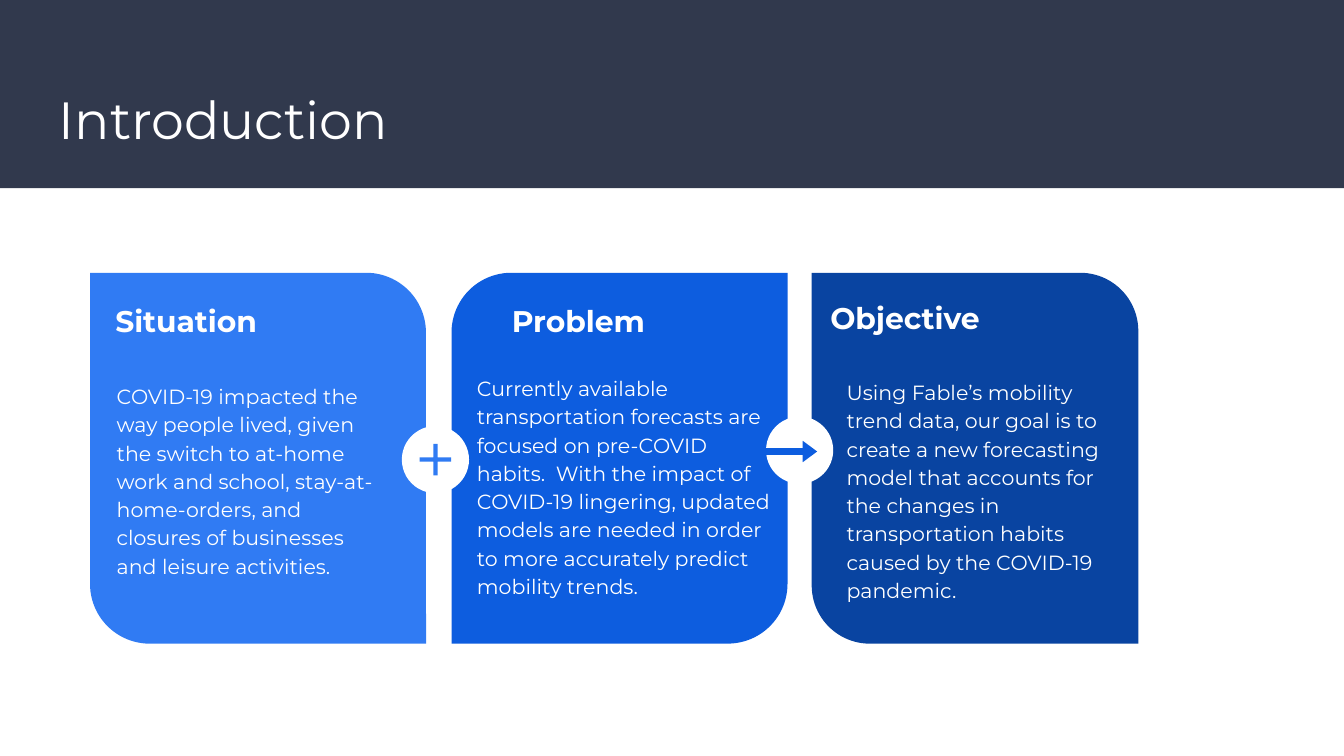
from dataclasses import dataclass

from pptx import Presentation
from pptx.dml.color import RGBColor
from pptx.enum.shapes import MSO_SHAPE
from pptx.enum.text import MSO_ANCHOR
from pptx.util import Inches, Pt

RECTANGLE = MSO_SHAPE.RECTANGLE
DIAGONAL_CARD = MSO_SHAPE.ROUND_2_DIAG_RECTANGLE
CIRCLE = MSO_SHAPE.OVAL
PLUS = MSO_SHAPE.MATH_PLUS
ARROW = MSO_SHAPE.RIGHT_ARROW
TOP = MSO_ANCHOR.TOP


@dataclass(frozen=True)
class Theme:
    font: str = "Montserrat"
    white: str = "FFFFFF"
    navy: str = "31394D"
    light_blue: str = "307BF3"
    blue: str = "0D5DDF"
    dark_blue: str = "0944A1"
    title_size: int = 28
    heading_size: int = 16
    body_size: int = 11


THEME = Theme()
CORNER = 0.178
CARD_TOP, CARD_HEIGHT = 2.03, 2.76
BADGE_SIZE = 0.5


def add_filled(slide, kind, box, color, adjustments=()):
    shape = slide.shapes.add_shape(kind, *map(Inches, box))
    shape.shadow.inherit = False
    shape.fill.solid()
    shape.fill.fore_color.rgb = RGBColor.from_string(color)
    shape.line.fill.background()
    for index, value in enumerate(adjustments):
        shape.adjustments[index] = value


def add_text(slide, box, text, size, bold=False, line_spacing=None, space_after=None):
    frame = slide.shapes.add_textbox(*map(Inches, box)).text_frame
    frame.word_wrap = True
    frame.vertical_anchor = TOP
    frame.margin_left = frame.margin_right = Inches(0.1)
    frame.margin_top = frame.margin_bottom = Inches(0.1)
    paragraph = frame.paragraphs[0]
    paragraph.text = text
    paragraph.line_spacing = line_spacing
    paragraph.space_after = space_after
    paragraph.font.name = THEME.font
    paragraph.font.size = Pt(size)
    paragraph.font.bold = bold
    paragraph.font.color.rgb = RGBColor.from_string(THEME.white)


def add_header(slide, box, title):
    left, top, width, height = box
    add_filled(slide, RECTANGLE, box, THEME.navy)
    add_text(slide, (left + 0.34, top + 0.55, width - 0.68, 0.68), title, THEME.title_size)


def add_card(slide, box, color, corners, heading, heading_box, body, body_box):
    left, top, _, _ = box
    add_filled(slide, DIAGONAL_CARD, box, color, corners)
    dx, dy, width = heading_box
    add_text(slide, (left + dx, top + dy, width, 0.81), heading, THEME.heading_size, bold=True)
    dx, dy, width = body_box
    add_text(slide, (left + dx, top + dy, width, 0.9), body, THEME.body_size,
             line_spacing=1.15, space_after=Pt(16))


def add_badge(slide, box, symbol, symbol_box, color, adjustments):
    left, top, _, _ = box
    dx, dy, width, height = symbol_box
    add_filled(slide, CIRCLE, box, THEME.white)
    add_filled(slide, symbol, (left + dx, top + dy, width, height), color, adjustments)


def main():
    deck = Presentation()
    deck.slide_width = Inches(10)
    deck.slide_height = deck.slide_width * 9 // 16
    slide = deck.slides.add_slide(deck.slide_layouts[6])

    add_header(slide, (0, 0, 10, 1.4), "Introduction")

    cards = [
        (6.04, 2.43, THEME.dark_blue, (0, CORNER),
         "Objective", (0.04, 0.1, 2.19),
         "Using Fable’s mobility trend data, our goal is to create a new forecasting "
         "model that accounts for the changes in transportation habits caused by the "
         "COVID-19 pandemic.", (0.16, 0.67, 2.25)),
        (3.36, 2.5, THEME.blue, (CORNER, 0),
         "Problem", (0.35, 0.12, 1.87),
         "Currently available transportation forecasts are focused on pre-COVID "
         "habits.  With the impact of COVID-19 lingering, updated models are needed "
         "in order to more accurately predict mobility trends.", (0.09, 0.64, 2.41)),
        (0.67, 2.5, THEME.light_blue, (0, CORNER),
         "Situation", (0.09, 0.12, 1.87),
         "COVID-19 impacted the way people lived, given the switch to at-home work "
         "and school, stay-at-home-orders, and closures of businesses and leisure "
         "activities.", (0.1, 0.7, 2.16)),
    ]
    for left, width, *content in cards:
        add_card(slide, (left, CARD_TOP, width, CARD_HEIGHT), *content)

    add_badge(slide, (2.99, 3.17, BADGE_SIZE, BADGE_SIZE), PLUS,
              (0.09, 0.09, 0.32, 0.32), THEME.light_blue, (0.099,))
    add_badge(slide, (5.7, 3.1, BADGE_SIZE, BADGE_SIZE), ARROW,
              (0, 0.18, 0.38, 0.16), THEME.blue, (0.32, 0.67))

    deck.save("out.pptx")


if __name__ == "__main__":
    main()
